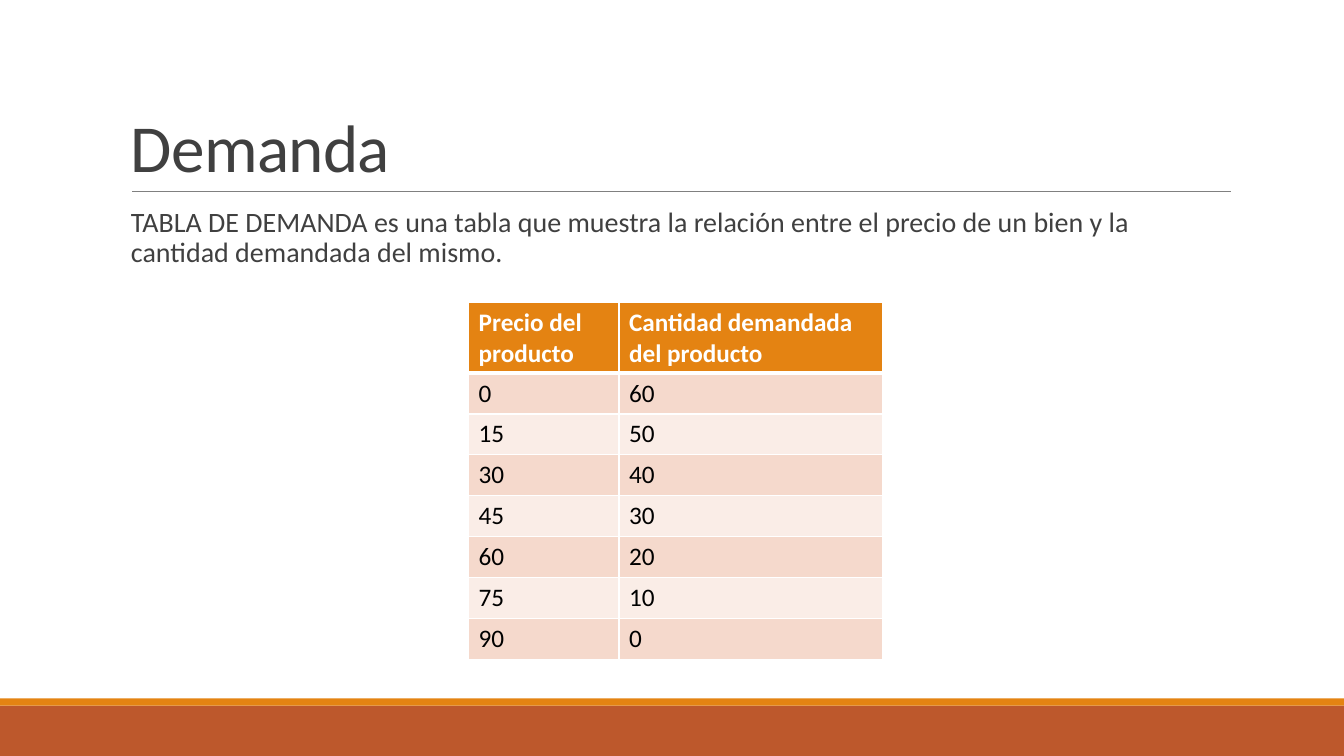
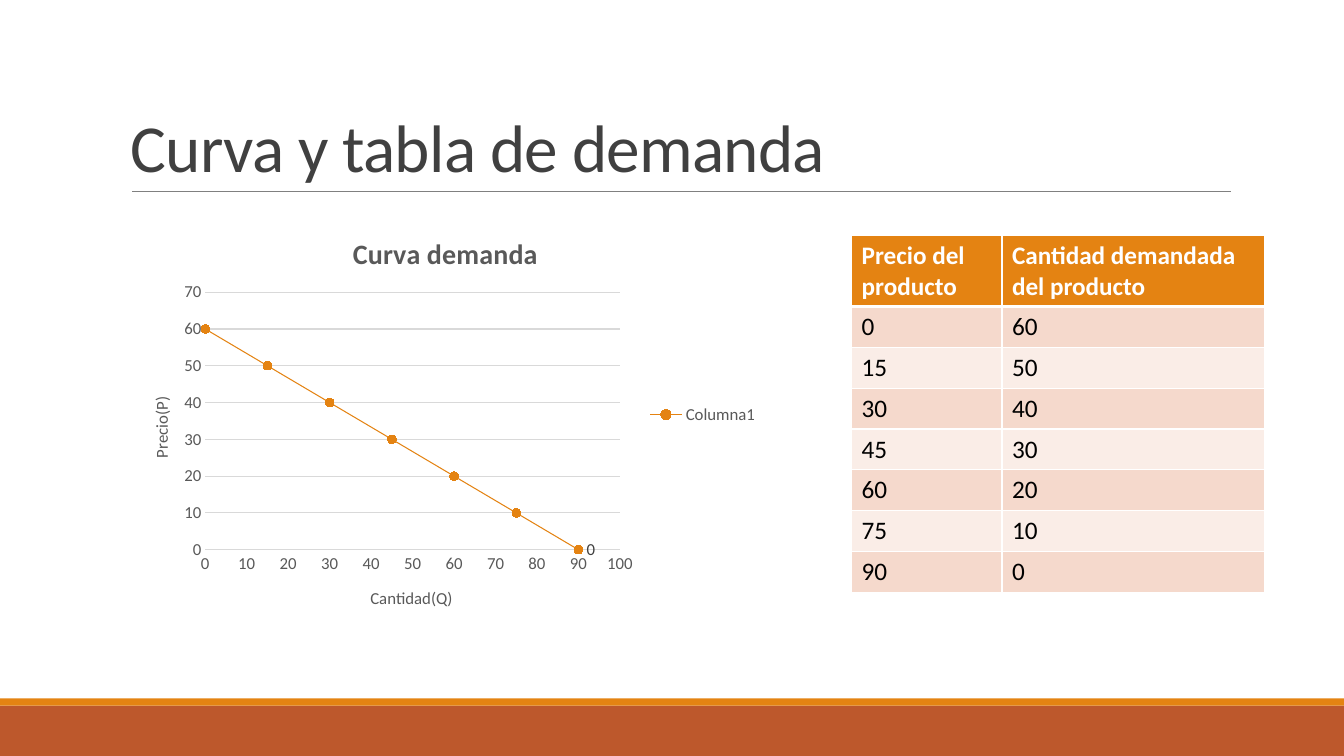
from lxml import etree
from pptx import Presentation
from pptx.chart.data import XyChartData
from pptx.dml.color import RGBColor
from pptx.enum.chart import XL_CHART_TYPE as ChartType
from pptx.enum.chart import XL_LABEL_POSITION as LabelPosition
from pptx.enum.chart import XL_LEGEND_POSITION as LegendPosition
from pptx.enum.chart import XL_MARKER_STYLE as MarkerStyle
from pptx.enum.chart import XL_TICK_MARK as TickMark
from pptx.enum.shapes import MSO_CONNECTOR as Connector
from pptx.enum.shapes import MSO_SHAPE as Shape
from pptx.enum.text import MSO_ANCHOR as Anchor
from pptx.oxml import parse_xml
from pptx.oxml.ns import nsdecls, qn
from pptx.util import Cm, Pt

ORANGE = "E48312"
RUST = "BD582C"
WHITE = "FFFFFF"
BLACK = "000000"
INK = "404040"
GRAY = "595959"
RULE = "808080"
GRID = "D9D9D9"
ROW_TINTS = ("F5D9CC", "FAEDE7")
FONT = "Calibri"

WIDTH, HEIGHT = 33.87, 19.05
LEFT, CONTENT_WIDTH = 3.05, 27.94
RULE_TOP, BODY_TOP = 4.83, 5.13
BAND_TOP, STRIPE_HEIGHT = 17.78, 0.18

HEADINGS = ("Precio del producto", "Cantidad demandada del producto")
DEMAND = [(0, 60), (15, 50), (30, 40), (45, 30), (60, 20), (75, 10), (90, 0)]


def color(value):
    return RGBColor.from_string(value)


def style_font(font, size, tone, bold=False):
    font.name = FONT
    font.size = Pt(size)
    font.bold = bold
    font.color.rgb = color(tone)


def place(element, **fractions):
    for old in element.findall(qn("c:layout")):
        element.remove(old)
    layout = parse_xml(f"<c:layout {nsdecls('c')}><c:manualLayout/></c:layout>")
    manual = layout[0]
    if "w" in fractions:
        etree.SubElement(manual, qn("c:layoutTarget")).set("val", "inner")
    for mode in ("xMode", "yMode"):
        etree.SubElement(manual, qn(f"c:{mode}")).set("val", "edge")
    for name, value in fractions.items():
        etree.SubElement(manual, qn(f"c:{name}")).set("val", str(value))
    text = element.find(qn("c:tx"))
    element.insert(0 if text is None else element.index(text) + 1, layout)


class DemandDeck:
    def __init__(self):
        self.deck = Presentation()
        self.deck.slide_width = Cm(WIDTH)
        self.deck.slide_height = Cm(HEIGHT)
        self.page = None

    def add_page(self, title):
        self.page = self.deck.slides.add_slide(self.deck.slide_layouts[6])
        self.band(BAND_TOP, HEIGHT - BAND_TOP, RUST)
        self.band(BAND_TOP - STRIPE_HEIGHT, STRIPE_HEIGHT, ORANGE)
        self.rule()
        self.title(title)

    def band(self, top, height, fill):
        band = self.page.shapes.add_shape(
            Shape.RECTANGLE, 0, Cm(top), Cm(WIDTH), Cm(height))
        band.shadow.inherit = False
        band.fill.solid()
        band.fill.fore_color.rgb = color(fill)
        band.line.fill.background()

    def rule(self):
        rule = self.page.shapes.add_connector(
            Connector.STRAIGHT, Cm(3.33), Cm(RULE_TOP), Cm(31.01), Cm(RULE_TOP))
        rule.line.color.rgb = color(RULE)
        rule.line.width = Pt(0.5)
        etree.SubElement(rule._element.spPr, qn("a:effectLst"))

    def text(self, top, height, words, size, spacing):
        box = self.page.shapes.add_textbox(
            Cm(LEFT), Cm(top), Cm(CONTENT_WIDTH), Cm(height))
        frame = box.text_frame
        frame.word_wrap = True
        para = frame.paragraphs[0]
        para.text = words
        para.line_spacing = spacing
        style_font(para.font, size, INK)
        return frame

    def title(self, words):
        frame = self.text(0.8, RULE_TOP - 0.8, words, 48, 0.85)
        frame.vertical_anchor = Anchor.BOTTOM
        frame.paragraphs[0].font._rPr.set("spc", "-50")

    def body(self, words):
        frame = self.text(BODY_TOP, 11.18, words, 20, 0.9)
        frame.margin_right = 0
        para = frame.paragraphs[0]
        para.space_before = Pt(12)
        para.space_after = Pt(2)

    def cell(self, cell, words, fill, tone, heading):
        para = cell.text_frame.paragraphs[0]
        para.text = str(words)
        style_font(para.font, 18, tone, heading)
        properties = cell._tc.get_or_add_tcPr()
        for side in "LRTB":
            width = Pt(3) if heading and side == "B" else Pt(1)
            properties.append(parse_xml(
                f'<a:ln{side} {nsdecls("a")} w="{width}"><a:solidFill>'
                f'<a:srgbClr val="{WHITE}"/></a:solidFill></a:ln{side}>'))
        cell.fill.solid()
        cell.fill.fore_color.rgb = color(fill)

    def table(self, left, top):
        widths = (3.79, 6.63)
        heights = [1.78] + [1.03] * len(DEMAND)
        table = self.page.shapes.add_table(
            len(heights), len(widths), Cm(left), Cm(top),
            Cm(sum(widths)), Cm(sum(heights))).table
        table.horz_banding = False
        for column, width in zip(table.columns, widths):
            column.width = Cm(width)
        for row, height in zip(table.rows, heights):
            row.height = Cm(height)
        for index, values in enumerate([HEADINGS, *DEMAND]):
            heading = index == 0
            fill = ORANGE if heading else ROW_TINTS[(index - 1) % 2]
            tone = WHITE if heading else BLACK
            for column, value in enumerate(values):
                self.cell(table.cell(index, column), value, fill, tone, heading)

    def chart_title(self, title, words, size, bold, x, y):
        para = title.text_frame.paragraphs[0]
        para.text = words
        style_font(para.font, size, GRAY, bold)
        place(title._element, x=x, y=y)

    def axis(self, axis, words, x, y, maximum):
        axis.minimum_scale = 0
        axis.maximum_scale = maximum
        axis.major_unit = 10
        axis.major_tick_mark = TickMark.NONE
        axis.minor_tick_mark = TickMark.NONE
        style_font(axis.tick_labels.font, 12, GRAY)
        self.chart_title(axis.axis_title, words, 12, False, x, y)

    def chart(self):
        data = XyChartData()
        points = data.add_series("Columna1")
        for x, y in DEMAND:
            points.add_data_point(x, y)
        chart = self.page.shapes.add_chart(
            ChartType.XY_SCATTER_SMOOTH, Cm(LEFT), Cm(BODY_TOP),
            Cm(16.33), Cm(10.64), data).chart
        style_font(chart.font, 10, BLACK)
        chart.has_title = True
        self.chart_title(chart.chart_title, "Curva demanda", 20, True, 0.35, 0.06)
        chart.has_legend = True
        chart.legend.position = LegendPosition.RIGHT
        chart.legend.include_in_layout = False
        style_font(chart.legend.font, 12, GRAY)

        across, upward = chart.category_axis, chart.value_axis
        self.axis(across, "Cantidad(Q)", 0.38, 0.9, 100)
        across.has_major_gridlines = False
        across.format.line.color.rgb = color(GRID)
        across.format.line.width = Pt(1)
        self.axis(upward, "Precio(P)", 0.04, 0.45, 70)
        upward.axis_title.text_frame._txBody.bodyPr.set("rot", "-5400000")
        upward.format.line.fill.background()
        upward.has_major_gridlines = True
        grid = upward.major_gridlines.format.line
        grid.color.rgb = color(GRID)
        grid.width = Pt(0.75)

        plot = chart.plots[0]
        plot.vary_by_categories = False
        place(chart._chartSpace.chart.plotArea, x=0.13, y=0.21, w=0.64, h=0.61)
        self.series(plot.series[0])

    def series(self, series):
        series.smooth = True
        series.format.line.color.rgb = color(ORANGE)
        series.format.line.width = Pt(0.75)
        marker = series.marker
        marker.style = MarkerStyle.CIRCLE
        marker.size = 6
        marker.format.fill.solid()
        marker.format.fill.fore_color.rgb = color(ORANGE)
        marker.format.line.color.rgb = color(ORANGE)
        label = series.points[len(DEMAND) - 1].data_label
        style_font(label.font, 12, INK)
        label.position = LabelPosition.RIGHT


def main():
    demand = DemandDeck()
    demand.add_page("Demanda")
    demand.body("TABLA DE DEMANDA es una tabla que muestra la relación entre "
                "el precio de un bien y la cantidad demandada del mismo.")
    demand.table(11.81, 7.62)
    demand.add_page("Curva y tabla de demanda")
    demand.chart()
    demand.table(21.46, 5.94)
    demand.deck.save("out.pptx")


if __name__ == "__main__":
    main()
